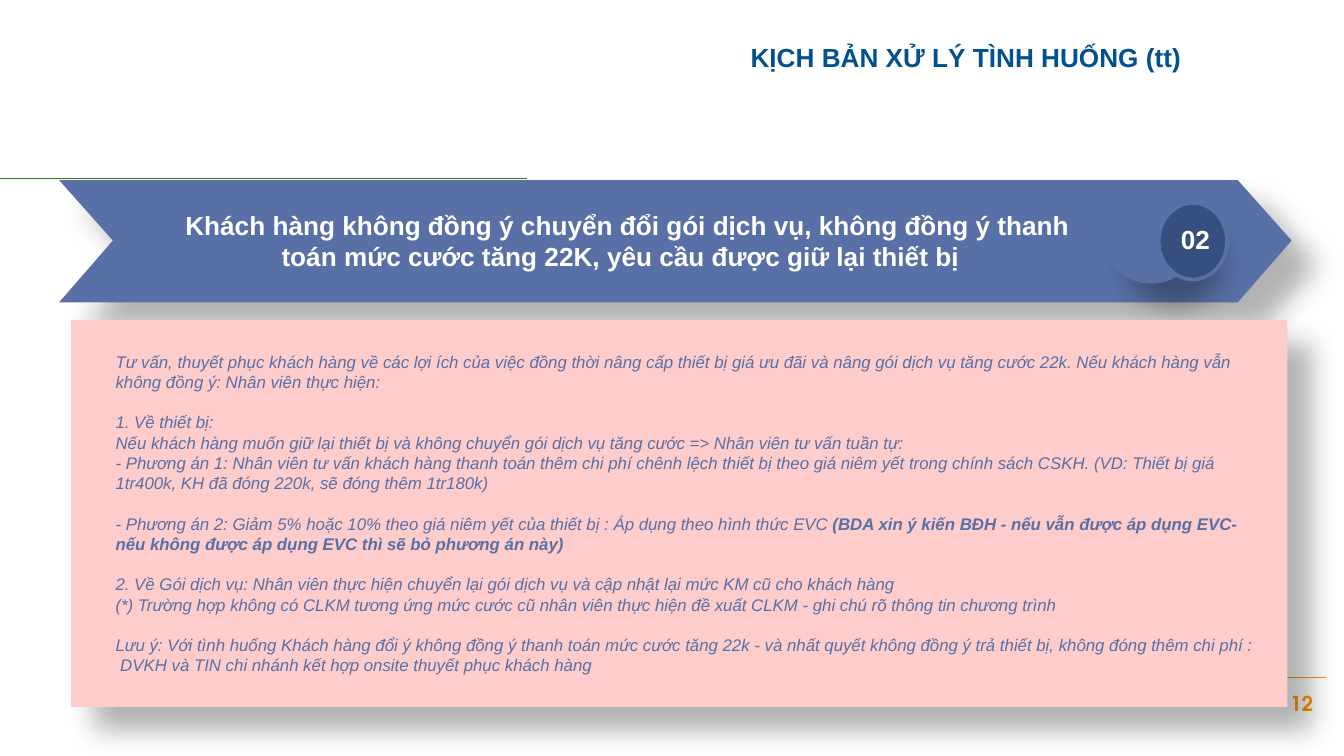
from dataclasses import dataclass

from lxml import etree
from pptx import Presentation
from pptx.dml.color import RGBColor
from pptx.enum.shapes import MSO_CONNECTOR, MSO_SHAPE
from pptx.enum.text import MSO_ANCHOR, MSO_AUTO_SIZE, PP_ALIGN
from pptx.oxml.ns import qn
from pptx.util import Inches, Pt

STRAIGHT = MSO_CONNECTOR.STRAIGHT
OVAL, RECTANGLE = MSO_SHAPE.OVAL, MSO_SHAPE.RECTANGLE
LEFT, CENTER, RIGHT = PP_ALIGN.LEFT, PP_ALIGN.CENTER, PP_ALIGN.RIGHT
TOP, MIDDLE = MSO_ANCHOR.TOP, MSO_ANCHOR.MIDDLE
NO_AUTOFIT = MSO_AUTO_SIZE.NONE


@dataclass(frozen=True)
class Theme:
    title: str = "00518E"
    banner: str = "5870A6"
    badge: str = "374F7F"
    panel: str = "FFCCCC"
    white: str = "FFFFFF"
    green: str = "38761D"
    orange: str = "FF9900"
    font: str = "Arial"
    number_font: str = "TeX Gyre Adventor"
    heading_size: float = 14
    body_size: float = 9
    number_size: float = 11
    gap: float = 10.9


@dataclass(frozen=True)
class Box:
    left: float
    top: float
    width: float
    height: float

    def lengths(self) -> tuple:
        return tuple(Inches(v) for v in (self.left, self.top, self.width, self.height))


@dataclass(frozen=True)
class Script:
    """One paragraph of the advice; starts_block puts a gap above it."""
    text: str
    bold_text: str = ""
    starts_block: bool = False


@dataclass(frozen=True)
class Rule:
    start: float
    end: float
    y: float
    color: str


THEME = Theme()
RULES = (Rule(-0.02, 3.92, 1.33, THEME.green), Rule(7.09, 9.87, 5.04, THEME.orange))
BANNER_OUTLINE = ((0.44, 1.34), (9.21, 1.34), (9.61, 1.79), (9.21, 2.25), (0.44, 2.25), (0.84, 1.79))
ADVICE = (
    Script("Tư vấn, thuyết phục khách hàng về các lợi ích của việc đồng thời nâng cấp thiết bị giá ưu đãi và nâng gói dịch vụ tăng cước 22k. Nếu khách hàng vẫn không đồng ý: Nhân viên thực hiện:"),
    Script("1. Về thiết bị:", starts_block=True),
    Script("Nếu khách hàng muốn giữ lại thiết bị và không chuyển gói dịch vụ tăng cước => Nhân viên tư vấn tuần tự:"),
    Script("- Phương án 1: Nhân viên tư vấn khách hàng thanh toán thêm chi phí chênh lệch thiết bị theo giá niêm yết trong chính sách CSKH. (VD: Thiết bị giá 1tr400k, KH đã đóng 220k, sẽ đóng thêm 1tr180k)"),
    Script("- Phương án 2: Giảm 5% hoặc 10% theo giá niêm yết của thiết bị : Áp dụng theo hình thức EVC ",
           "(BDA xin ý kiến BĐH - nếu vẫn được áp dụng EVC- nếu không được áp dụng EVC thì sẽ bỏ phương án này)", True),
    Script("2. Về Gói dịch vụ: Nhân viên thực hiện chuyển lại gói dịch vụ và cập nhật lại mức KM cũ cho khách hàng", starts_block=True),
    Script("(*) Trường hợp không có CLKM tương ứng mức cước cũ nhân viên thực hiện đề xuất CLKM - ghi chú rõ thông tin chương trình"),
    Script("Lưu ý: Với tình huống Khách hàng đổi ý không đồng ý thanh toán mức cước tăng 22k - và nhất quyết không đồng ý trả thiết bị, không đóng thêm chi phí :  DVKH và TIN chi nhánh kết hợp onsite thuyết phục khách hàng", starts_block=True),
)


def place(shape, box: Box) -> None:
    shape.left, shape.top, shape.width, shape.height = box.lengths()


def paint(shape, color: str) -> None:
    shape.shadow.inherit = False
    shape.fill.solid()
    shape.fill.fore_color.rgb = RGBColor.from_string(color)
    shape.line.fill.background()


def cast_shadow(shape) -> None:
    effects = shape._element.spPr.find(qn("a:effectLst"))
    shadow = etree.SubElement(effects, qn("a:outerShdw"), blurRad=str(Pt(15)), dist=str(Pt(18)),
                              dir=str(45 * 60000), algn="bl", rotWithShape="0")
    color = etree.SubElement(shadow, qn("a:srgbClr"), val="000000")
    etree.SubElement(color, qn("a:alpha"), val="30000")


def set_font(font, size: float, color: str, name: str = THEME.font,
             bold: bool = False, italic: bool = False) -> None:
    font.name, font.size, font.bold, font.italic = name, Pt(size), bold, italic
    font.color.rgb = RGBColor.from_string(color)


def prepare_frame(shape, anchor) -> None:
    frame = shape.text_frame
    frame.word_wrap, frame.auto_size, frame.vertical_anchor = True, NO_AUTOFIT, anchor


def write_label(shape, text: str, size: float, color: str, align, name: str = THEME.font) -> None:
    prepare_frame(shape, TOP)
    para = shape.text_frame.paragraphs[0]
    para.text, para.alignment = text, align
    set_font(para.font, size, color, name, bold=True)


def add_label(page, box: Box, text: str, size: float, color: str, align, name: str = THEME.font):
    label = page.shapes.add_textbox(*box.lengths())
    write_label(label, text, size, color, align, name)
    return label


def draw_rule(page, rule: Rule) -> None:
    line = page.shapes.add_connector(STRAIGHT, Inches(rule.start), Inches(rule.y),
                                     Inches(rule.end), Inches(rule.y))
    line.line.color.rgb = RGBColor.from_string(rule.color)
    line.line.width = Pt(0.75)
    etree.SubElement(line._element.spPr, qn("a:effectLst"))


def draw_banner(page) -> None:
    group = page.shapes.add_group_shape()
    points = [(Inches(x), Inches(y)) for x, y in BANNER_OUTLINE]
    builder = group.shapes.build_freeform(*points[0])
    builder.add_line_segments(points[1:], close=True)
    arrow = builder.convert_to_shape()
    disc = group.shapes.add_shape(OVAL, *Box(8.21, 1.46, 0.71, 0.65).lengths())
    for shape in (arrow, disc):
        paint(shape, THEME.banner)
        cast_shadow(shape)


def write_advice(body) -> None:
    prepare_frame(body, MIDDLE)
    frame = body.text_frame
    for index, item in enumerate(ADVICE):
        para = frame.paragraphs[0] if index == 0 else frame.add_paragraph()
        para.alignment = LEFT
        para.space_before = Pt(THEME.gap if item.starts_block else 0)
        set_font(para.font, THEME.body_size, THEME.banner, italic=True)
        para.add_run().text = item.text
        if item.bold_text:
            span = para.add_run()
            span.text, span.font.bold = item.bold_text, True
        # Plain paragraphs: no bullet, no hanging indent
        properties = para._p.get_or_add_pPr()
        properties.set("marL", "0")
        properties.set("indent", "0")
        properties.find(qn("a:defRPr")).addprevious(etree.Element(qn("a:buNone")))


def main() -> None:
    # A 16:9 page
    deck = Presentation()
    deck.slide_width = Inches(10)
    deck.slide_height = Inches(10) * 9 // 16
    page = deck.slides.add_slide(deck.slide_layouts[1])
    title, body = page.placeholders

    # Rules, page number and title
    for rule in RULES:
        draw_rule(page, rule)
    number = add_label(page, Box(9.23, 5.04, 0.64, 0.43), "12", THEME.number_size,
                       THEME.orange, RIGHT, THEME.number_font)
    number.text_frame.margin_top = number.text_frame.margin_bottom = Inches(0.1)
    place(title, Box(5.24, 0.26, 3.65, 0.34))
    write_label(title, "KỊCH BẢN XỬ LÝ TÌNH HUỐNG (tt)", THEME.heading_size, THEME.title, RIGHT)

    # Banner and panel
    draw_banner(page)
    panel = page.shapes.add_shape(RECTANGLE, *Box(0.53, 2.38, 9.05, 2.88).lengths())
    paint(panel, THEME.panel)
    cast_shadow(panel)
    add_label(page, Box(1.05, 1.51, 7.19, 0.57),
              " Khách hàng không đồng ý chuyển đổi gói dịch vụ, không đồng ý thanh toán mức cước tăng 22K, yêu cầu được giữ lại thiết bị ",
              THEME.heading_size, THEME.white, CENTER)

    # Advice, brought in front of the panel
    place(body, Box(0.76, 2.56, 8.68, 2.52))
    write_advice(body)
    panel._element.getparent().append(body._element)

    # Numbered badge
    badge = page.shapes.add_shape(OVAL, *Box(8.62, 1.51, 0.51, 0.57).lengths())
    paint(badge, THEME.badge)
    badge.line.color.rgb = RGBColor.from_string(THEME.banner)
    badge.line.width = Pt(2)
    add_label(page, Box(8.64, 1.61, 0.51, 0.34), "02", THEME.heading_size, THEME.white, CENTER)

    deck.save("out.pptx")


if __name__ == "__main__":
    main()
